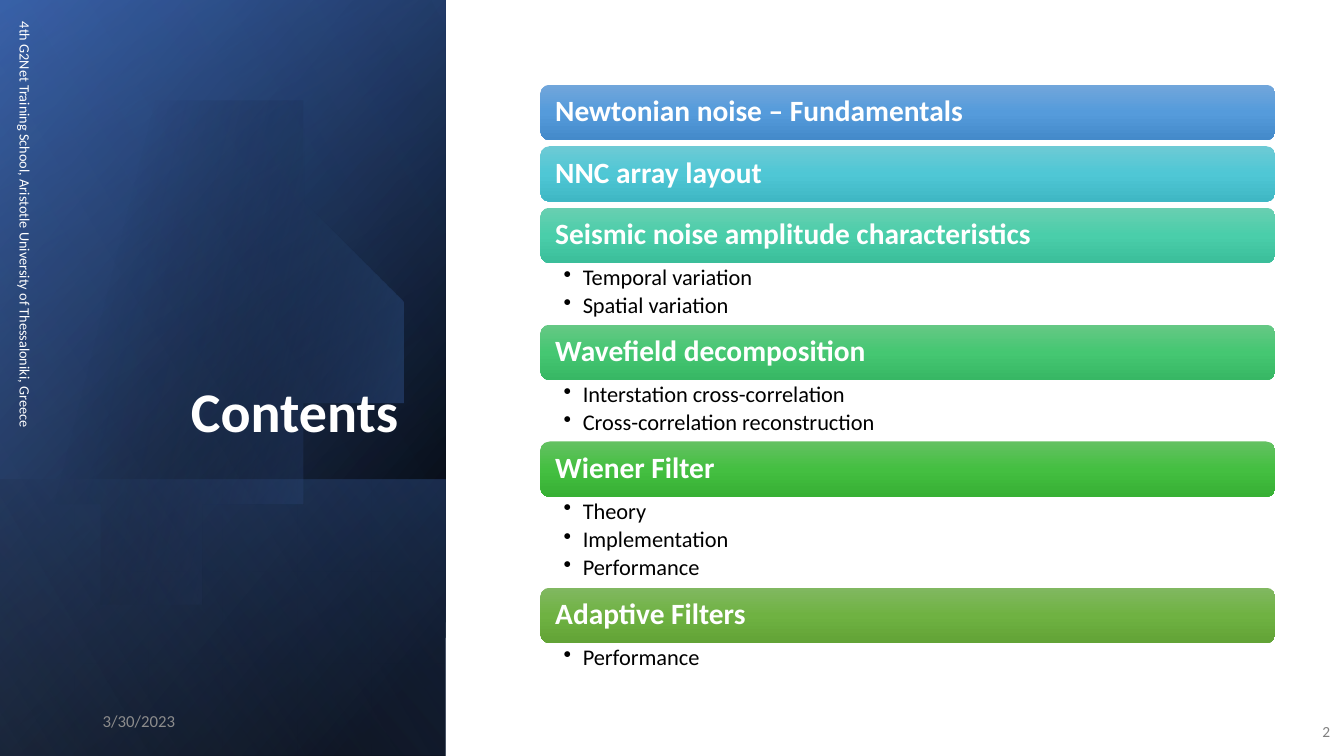
from lxml import etree
from pptx import Presentation
from pptx.dml.color import RGBColor
from pptx.enum.shapes import MSO_SHAPE
from pptx.enum.text import MSO_ANCHOR, PP_ALIGN
from pptx.oxml import parse_xml
from pptx.oxml.ns import qn
from pptx.util import Inches, Pt

RECT, ROUND = MSO_SHAPE.RECTANGLE, MSO_SHAPE.ROUNDED_RECTANGLE
MIDDLE, BOTTOM = MSO_ANCHOR.MIDDLE, MSO_ANCHOR.BOTTOM
LEFT, RIGHT = PP_ALIGN.LEFT, PP_ALIGN.RIGHT
NS = "http://schemas.openxmlformats.org/drawingml/2006/main"

BLACK = RGBColor(0, 0, 0)
WHITE = RGBColor(255, 255, 255)
NAVY = RGBColor(0x2F, 0x55, 0x97)
BLUE = RGBColor(0x44, 0x72, 0xC4)
PALE = RGBColor(0x8F, 0xAA, 0xDC)
GREY = RGBColor(0x80, 0x80, 0x80)
SILVER = RGBColor(0x8C, 0x8C, 0x8C)

W, H = 13.33, 7.5
SIDE = 4.42                       # width of the dark side panel
COL, WIDE = 5.36, 7.29            # left and width of the contents column
BAR, GAP = 0.55, 0.06

prs = Presentation()
prs.slide_width, prs.slide_height = Inches(W), Inches(H)
slide = prs.slides.add_slide(prs.slide_layouts[5])
shapes = slide.shapes


def shade(shape, stops, angle):
    """Fill with a gradient of (position %, colour, opacity %) stops, no line."""
    shape.shadow.inherit = False
    shape.line.fill.background()
    shape.fill.background()
    marks = "".join(
        f'<a:gs pos="{pos * 1000}"><a:srgbClr val="{color}">'
        f'<a:alpha val="{alpha * 1000}"/></a:srgbClr></a:gs>'
        for pos, color, alpha in stops)
    props = shape.element.spPr
    props.replace(props.find(qn("a:noFill")), parse_xml(
        f'<a:gradFill xmlns:a="{NS}" rotWithShape="1"><a:gsLst>{marks}</a:gsLst>'
        f'<a:lin ang="{angle * 60000}" scaled="0"/></a:gradFill>'))


def write(para, text, size, color, bold=False, align=LEFT):
    para.alignment = align
    run = para.add_run()
    run.text = text
    font = run.font
    font.name, font.size, font.bold = "Calibri", Pt(size), bold
    font.color.rgb = color


# Side panel: gradient sheets turned a quarter, with a disc below the last
sheets = [
    (0, [(8, BLACK, 100), (100, NAVY, 100)], 50),
    (0, [(0, BLACK, 0), (99, BLUE, 46)], 30),
    (4.76, [(2, BLUE, 29), (100, BLACK, 30)], 130),
    (0, [(0, BLACK, 0), (99, PALE, 11)], 120),
]
curves = [
    [(1.49, 1.1), (2.46, 1.12), (3.35, 1.77), (3.63, 2.75)],
    [(3.63, 2.75), (3.98, 3.97), (3.28, 5.23), (2.07, 5.58)],
    [(2.07, 5.58), (1.31, 5.8), (0.53, 5.61), (-0.03, 5.14)],
    [(-0.15, 5.03), (-0.15, 3.9), (-0.15, 2.8), (-0.15, 1.75)],
    [(0, 1.61), (0.23, 1.42), (0.5, 1.28), (0.8, 1.19)],
    [(0.8, 1.19), (1.03, 1.13), (1.26, 1.1), (1.49, 1.1)],
]
STEPS = 16
rim = []
for a, b, c, d in curves:
    for step in range(STEPS + 1):
        t = step / STEPS
        u = 1 - t
        rim.append(tuple(
            u**3 * a[k] + 3 * u * u * t * b[k] + 3 * u * t * t * c[k] + t**3 * d[k]
            for k in (0, 1)))

for num, (top, stops, angle) in enumerate(sheets):
    if num == 3:
        pen = shapes.build_freeform(*rim[0], scale=Inches(1))
        pen.add_line_segments(rim[1:], close=True)
        shade(pen.convert_to_shape(), [(29, BLACK, 0), (100, BLUE, 43)], 14)
    tall = H - top
    sheet = shapes.add_shape(
        RECT, Inches((SIDE - tall) / 2), Inches((top + H - SIDE) / 2),
        Inches(tall), Inches(SIDE))
    sheet.rotation = 90
    sheet.element.spPr.xfrm.set("flipH", "1")
    shade(sheet, stops, angle)

# Title, brought in front of the panel
title = shapes.title
title.left, title.top = Inches(0.64), Inches(1.84)
title.width, title.height = Inches(3.41), Inches(2.62)
title.element.getparent().append(title.element)
title.text_frame.vertical_anchor = BOTTOM
head = title.text_frame.paragraphs[0]
head.line_spacing = 0.9
write(head, "Contents", 40, WHITE, True, RIGHT)

# Event name, page number and date
notes = [
    ("4th G2Net Training School, Aristotle University of Thessaloniki, Greece",
     -2, 2.17, 4.5, 90, 10.2, WHITE, LEFT),
    ("2", 12.8, 7.06, 0.49, 0, 11, GREY, RIGHT),
    ("3/30/2023", 0.92, 6.95, 3, 0, 12, SILVER, LEFT),
]
for text, left, top, width, turn, size, color, align in notes:
    box = shapes.add_textbox(Inches(left), Inches(top), Inches(width), Inches(0.4))
    box.rotation = turn
    frame = box.text_frame
    frame.word_wrap = True
    frame.vertical_anchor = MIDDLE
    write(frame.paragraphs[0], text, size, color, align=align)

# Contents: each bar is followed by its list, or by a small gap
topics = [
    ("Newtonian noise – Fundamentals", "71A6DB 559BDB 448ACA", []),
    ("NNC array layout", "6DCAD5 4FC7D5 3FB7C4", []),
    ("Seismic noise amplitude characteristics", "69CFB1 4ACEAA 3BBE9A",
     ["Temporal variation", "Spatial variation"]),
    ("Wavefield decomposition", "66C885 45C772 37B764",
     ["Interstation cross-correlation", "Cross-correlation reconstruction"]),
    ("Wiener Filter", "64C162 44BF41 37B034",
     ["Theory", "Implementation", "Performance"]),
    ("Adaptive Filters", "81B861 6FB242 62A336", ["Performance"]),
]
DEPTH = [GAP, 0.38, 0.61, 0.9]    # room below a bar, by number of items
top = 0.84
for name, tints, items in topics:
    bar = shapes.add_shape(ROUND, Inches(COL), Inches(top), Inches(WIDE), Inches(BAR))
    colors = [RGBColor.from_string(tint) for tint in tints.split()]
    shade(bar, [(50 * k, color, 100) for k, color in enumerate(colors)], 90)
    frame = bar.text_frame
    frame.margin_left = frame.margin_right = Inches(0.12)
    frame.vertical_anchor = MIDDLE
    frame.paragraphs[0].line_spacing = 0.9
    write(frame.paragraphs[0], name, 21, WHITE, True)
    top += BAR
    depth = DEPTH[len(items)]
    if items:
        box = shapes.add_textbox(Inches(COL), Inches(top), Inches(WIDE), Inches(depth))
        frame = box.text_frame
        frame.word_wrap = True
        frame.margin_left, frame.margin_right = Inches(0.23), Inches(0.16)
        frame.margin_top = frame.margin_bottom = Inches(0.03)
        for k, item in enumerate(items):
            para = frame.add_paragraph() if k else frame.paragraphs[0]
            para.line_spacing, para.space_after = 0.9, Pt(3)
            props = para._p.get_or_add_pPr()
            props.set("marL", str(Inches(0.19)))
            props.set("indent", str(-Inches(0.19)))
            etree.SubElement(props, qn("a:buChar"), char="•")
            write(para, item, 16, BLACK)
    top += depth

prs.save("out.pptx")
